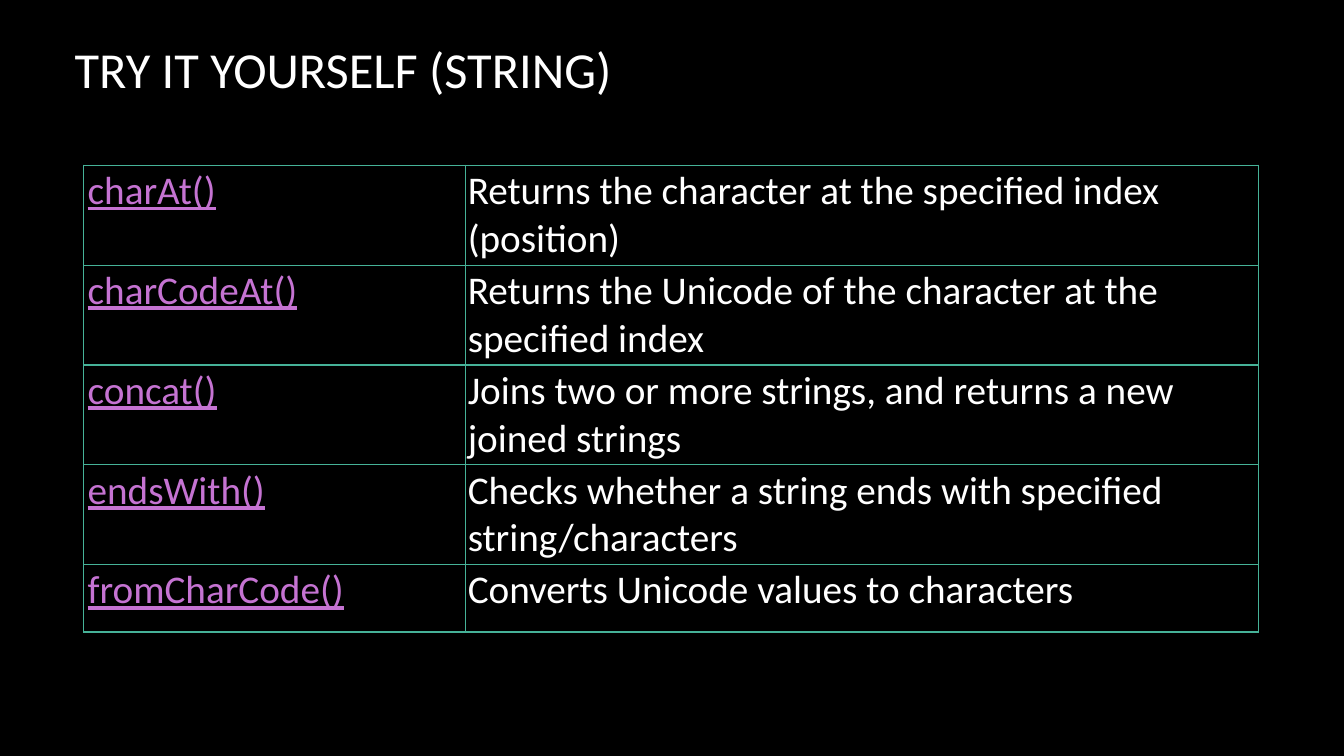
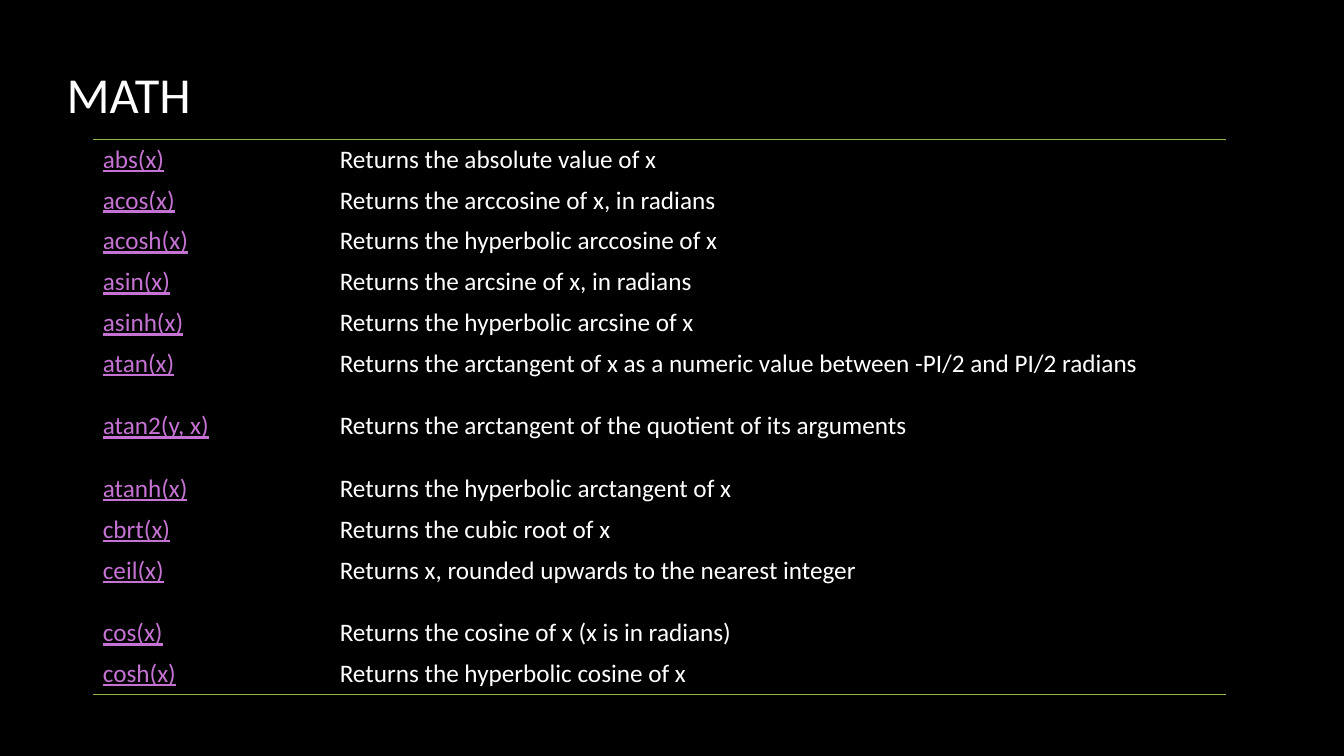
import pptx
import pptx.util
import pptx.dml.color
import pptx.enum.text
import pptx.oxml.ns
import lxml.etree

FONT = "Calibri"
BLACK, WHITE, LINK = "000000", "FFFFFF", "C573D2"
TEAL, GREEN = "46B298", "90BA4C"
PLAIN = "{2D5ABB26-0587-4C30-8999-92F81FD0307C}"
LOW, HIGH = 0.4, 0.62

STRING = [
    ("charAt()", "Returns the character at the specified index (position)", 0.99),
    ("charCodeAt()", "Returns the Unicode of the character at the specified index", 0.99),
    ("concat()", "Joins two or more strings, and returns a new joined strings", 0.99),
    ("endsWith()", "Checks whether a string ends with specified string/characters", 0.99),
    ("fromCharCode()", "Converts Unicode values to characters", 0.67),
]
MATH = [
    ("abs(x)", "Returns the absolute value of x", LOW),
    ("acos(x)", "Returns the arccosine of x, in radians", LOW),
    ("acosh(x)", "Returns the hyperbolic arccosine of x", LOW),
    ("asin(x)", "Returns the arcsine of x, in radians", LOW),
    ("asinh(x)", "Returns the hyperbolic arcsine of x", LOW),
    ("atan(x)", "Returns the arctangent of x as a numeric value between -PI/2 and PI/2 radians", HIGH),
    ("atan2(y, x)", "Returns the arctangent of the quotient of its arguments", HIGH),
    ("atanh(x)", "Returns the hyperbolic arctangent of x", LOW),
    ("cbrt(x)", "Returns the cubic root of x", LOW),
    ("ceil(x)", "Returns x, rounded upwards to the nearest integer", HIGH),
    ("cos(x)", "Returns the cosine of x (x is in radians)", LOW),
    ("cosh(x)", "Returns the hyperbolic cosine of x", LOW),
]
PAGES = [
    dict(title="TRY IT YOURSELF (STRING)", spot=(0.64, -0.12), rows=STRING,
         at=(0.83, 1.64), cols=(3.79, 7.86), size=28, pad=0.02, first=0.04,
         color=TEAL, grid=True),
    dict(title="MATH", spot=(0.56, 0.13), rows=MATH,
         at=(0.92, 1.38), cols=(2.4, 8.84), size=18, pad=0.05, first=0.1,
         color=GREEN, grid=False),
]

inch = pptx.util.Inches


def rgb(code):
    return pptx.dml.color.RGBColor.from_string(code)


def style(par, size, color, under=False):
    font = par.font
    font.name, font.size, font.underline = FONT, pptx.util.Pt(size), under
    font.color.rgb = rgb(color)
    par.alignment = pptx.enum.text.PP_ALIGN.LEFT


def edge(cell, sides, color):
    props = cell._tc.get_or_add_tcPr()
    name = pptx.oxml.ns.qn
    for spot, side in enumerate(sides):
        line = lxml.etree.Element(name("a:ln" + side), w=str(pptx.util.Pt(1)))
        fill = lxml.etree.SubElement(line, name("a:solidFill"))
        lxml.etree.SubElement(fill, name("a:srgbClr"), val=color)
        props.insert(spot, line)


def add_title(slide, text, spot):
    title = slide.shapes.title
    title.left, title.top = map(inch, spot)
    title.width, title.height = inch(11.08), inch(1.59)
    frame = title.text_frame
    frame.text = text
    frame.vertical_anchor = pptx.enum.text.MSO_ANCHOR.MIDDLE
    style(frame.paragraphs[0], 36, WHITE)


def add_grid(slide, page):
    rows, cols, pad = page["rows"], page["cols"], page["pad"]
    box = (*page["at"], sum(cols), sum(row[2] for row in rows))
    frame = slide.shapes.add_table(len(rows), len(cols), *map(inch, box))
    table = frame.table
    table.first_row = table.horz_banding = False
    table._tbl.tblPr.find(pptx.oxml.ns.qn("a:tableStyleId")).text = PLAIN
    for col, width in zip(table.columns, cols):
        col.width = inch(width)
    for r, (call, note, height) in enumerate(rows):
        table.rows[r].height = inch(height)
        if page["grid"]:
            sides = "LRTB"
        else:
            sides = "T" * (r == 0) + "B" * (r == len(rows) - 1)
        for c, text in enumerate((call, note)):
            cell = table.cell(r, c)
            cell.text = text
            cell.margin_left = inch(pad if c else page["first"])
            cell.margin_right = cell.margin_top = cell.margin_bottom = inch(pad)
            cell.fill.background()
            edge(cell, sides, page["color"])
            style(cell.text_frame.paragraphs[0], page["size"],
                  WHITE if c else LINK, c == 0)


deck = pptx.Presentation()
deck.slide_width, deck.slide_height = inch(13.33), inch(7.5)
back = deck.slide_master.background.fill
back.solid()
back.fore_color.rgb = rgb(BLACK)
for page in PAGES:
    slide = deck.slides.add_slide(deck.slide_layouts[5])
    add_title(slide, page["title"], page["spot"])
    add_grid(slide, page)
deck.save("out.pptx")
